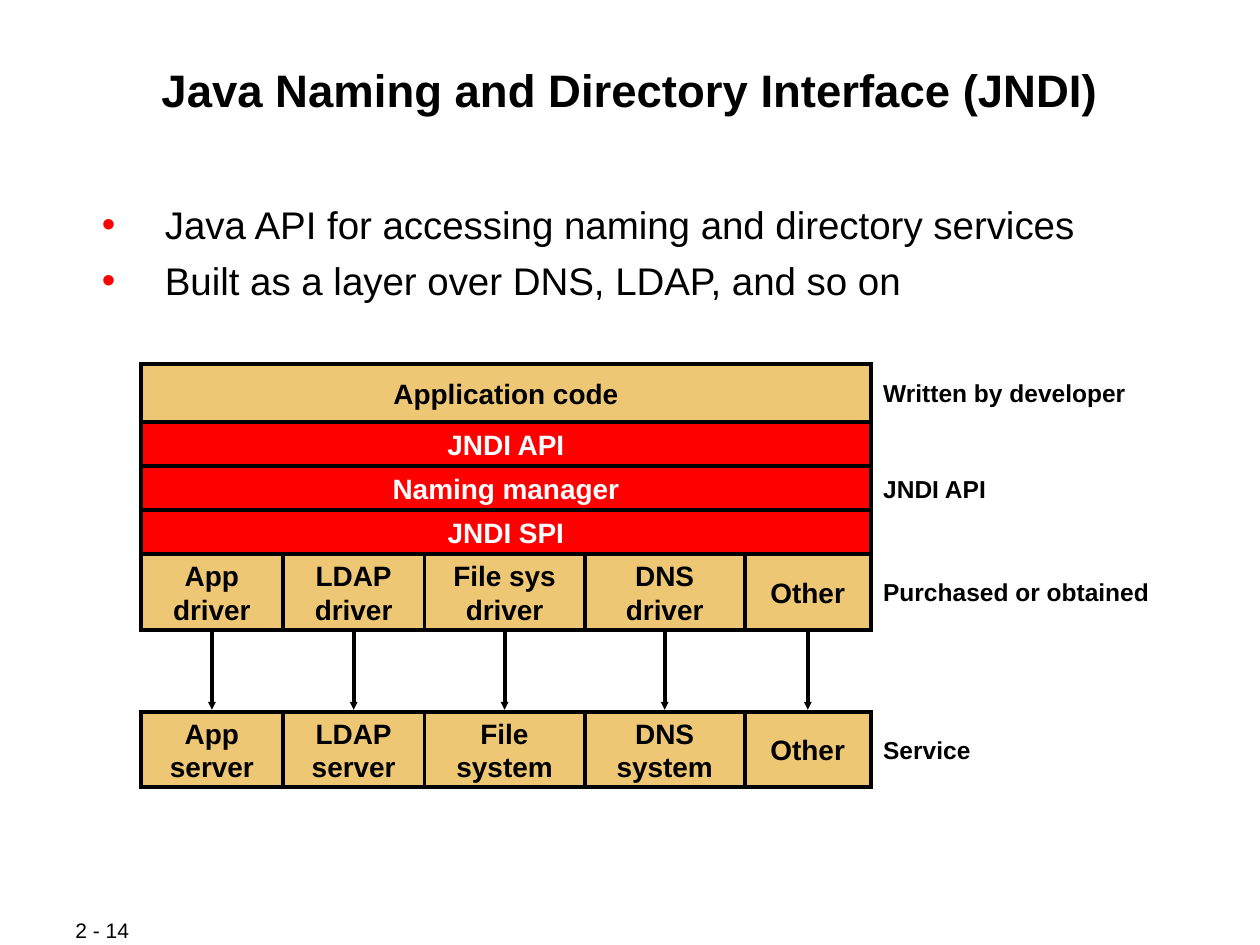
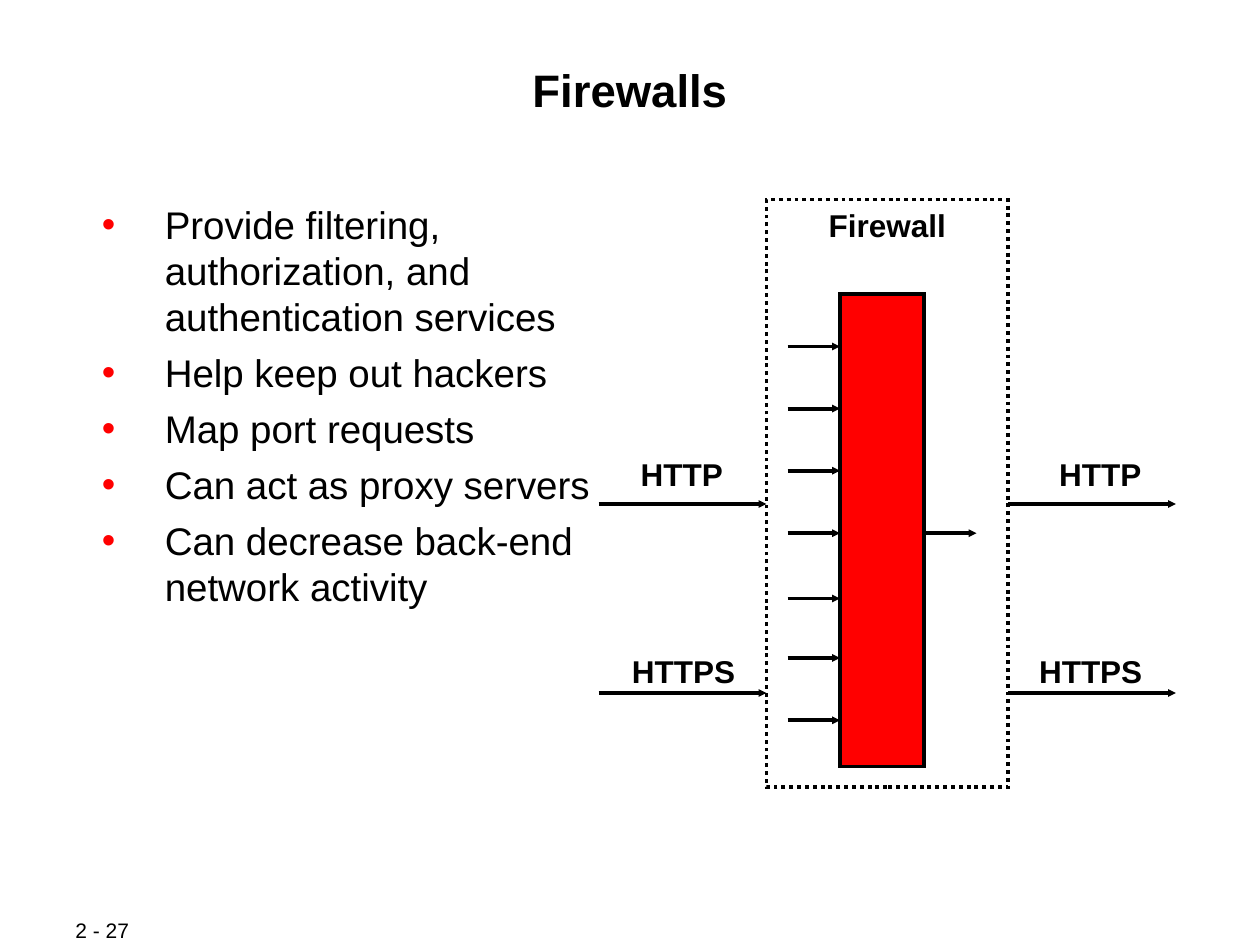
from itertools import accumulate
from lxml.etree import SubElement
from pptx import Presentation
from pptx.dml.color import RGBColor
from pptx.enum.dml import MSO_LINE
from pptx.enum.shapes import MSO_CONNECTOR, MSO_SHAPE
from pptx.enum.text import MSO_ANCHOR, PP_ALIGN
from pptx.oxml.ns import qn
from pptx.util import Pt

BLACK, WHITE, RED, SAND = "000000", "FFFFFF", "FF0000", "EDC774"
FONT = "Arial"
THICK, THIN = 2.24, 0.99
TITLE_BOX = (48, 34.5, 624, 69)
NUMBER_BOX = (36, 524, 76, 14.5)
SIDE, EDGE = 7.2, 3.6


def color(hex_value):
    return RGBColor.from_string(hex_value)


def set_text(sp, lines, size, hex_value=BLACK, bold=False, align=PP_ALIGN.LEFT,
             anchor=MSO_ANCHOR.TOP, before=0, margins=(SIDE, EDGE), wrap=True):
    tf = sp.text_frame
    tf.word_wrap = wrap
    tf.vertical_anchor = anchor
    tf.margin_left = tf.margin_right = Pt(margins[0])
    tf.margin_top = tf.margin_bottom = Pt(margins[1])
    for i, line in enumerate(lines):
        p = tf.paragraphs[0] if i == 0 else tf.add_paragraph()
        p.text = line
        p.alignment = align
        p.space_before = Pt(before)
        p.font.name = FONT
        p.font.size = Pt(size)
        p.font.bold = bold
        p.font.color.rgb = color(hex_value)


def add_text(slide, box, lines, size, **style):
    sp = slide.shapes.add_textbox(*map(Pt, box))
    set_text(sp, lines, size, **style)
    return sp


def set_line(sp, width):
    sp.line.color.rgb = color(BLACK)
    sp.line.width = Pt(width)
    ln = sp._element.spPr.find(qn("a:ln"))
    SubElement(ln, qn("a:miter"), lim="800000")
    return ln


def add_rect(slide, box, fill):
    sp = slide.shapes.add_shape(MSO_SHAPE.RECTANGLE, *map(Pt, box))
    sp.fill.solid()
    sp.fill.fore_color.rgb = color(fill)
    set_line(sp, THICK)
    sp.shadow.inherit = False
    return sp


def add_line(slide, x1, y1, x2, y2, width=THICK, arrow=False):
    sp = slide.shapes.add_connector(
        MSO_CONNECTOR.STRAIGHT, Pt(x1), Pt(y1), Pt(x2), Pt(y2))
    ln = set_line(sp, width)
    if arrow:
        SubElement(ln, qn("a:tailEnd"), type="triangle", w="sm", len="sm")
    SubElement(sp._element.spPr, qn("a:effectLst"))


def add_bullets(slide, box, lines):
    sp = add_text(slide, box, lines, 22, before=5.5, margins=(0.72, 0.72))
    for p in sp.text_frame.paragraphs:
        p_pr = p._p.get_or_add_pPr()
        p_pr.set("marL", str(Pt(45.3)))
        p_pr.set("indent", str(Pt(-36)))
        bullet = SubElement(p_pr, qn("a:buClr"))
        SubElement(bullet, qn("a:srgbClr"), val=RED)
        SubElement(p_pr, qn("a:buFont"), typeface=FONT)
        SubElement(p_pr, qn("a:buChar"), char="•")
        p_pr.append(p_pr.find(qn("a:defRPr")))


def add_slide(prs, title, number):
    slide = prs.slides.add_slide(prs.slide_layouts[5])
    sp = slide.shapes.title
    sp.left, sp.top, sp.width, sp.height = map(Pt, TITLE_BOX)
    set_text(sp, [title], 26, bold=True, align=PP_ALIGN.CENTER, before=6.5,
             margins=(0.72, 0.72))
    add_text(slide, NUMBER_BOX, [number], 12, anchor=MSO_ANCHOR.MIDDLE, wrap=False)
    return slide


def add_cell(slide, box, lines, fill=SAND, hex_value=BLACK, before=0):
    set_text(add_rect(slide, box, fill), lines, 16, hex_value=hex_value, bold=True,
             align=PP_ALIGN.CENTER, anchor=MSO_ANCHOR.MIDDLE, before=before,
             margins=(SIDE, 0))


def add_layer_diagram(slide, left, top):
    columns = [
        (81, ["App", "driver"], ["App", "server"]),
        (81, ["LDAP", "driver"], ["LDAP", "server"]),
        (91.5, ["File sys", "driver"], ["File", "system"]),
        (91.5, ["DNS", "driver"], ["DNS", "system"]),
        (72, ["Other"], ["Other"]),
    ]
    layers = ["JNDI API", "Naming manager", "JNDI SPI"]
    code_h, layer_h, box_h, gap = 33.4, 25.2, 43.2, 46.8
    edges = list(accumulate((column[0] for column in columns), initial=left))
    right = edges[-1]
    total = right - left
    layers_top = top + code_h
    layer_tops = [layers_top + i * layer_h for i in range(len(layers))]
    driver_top = layers_top + len(layers) * layer_h
    driver_end = driver_top + box_h
    server_top = driver_end + gap
    server_end = server_top + box_h

    add_cell(slide, (left, top, total, code_h), ["Application code"], before=4)
    for y, layer in zip(layer_tops, layers):
        add_cell(slide, (left, y, total, layer_h), [layer],
                 fill=RED, hex_value=WHITE, before=4)
    for x, (width, driver, server) in zip(edges, columns):
        add_cell(slide, (x, driver_top, width, box_h), driver)
        add_cell(slide, (x, server_top, width, box_h), server)

    for y in (top, driver_end, server_top):
        add_line(slide, left, y, right, y)
    for y in (*layer_tops, driver_top, server_end):
        add_line(slide, left, y, right, y, THIN)
    for x in (left, right):
        add_line(slide, x, top, x, driver_end)
    for x in edges[1:-1]:
        add_line(slide, x, driver_top, x, driver_end, THIN)
    for x in edges:
        add_line(slide, x, server_top, x, server_end, THIN)
    for x1, x2 in zip(edges, edges[1:]):
        middle = (x1 + x2) / 2
        add_line(slide, middle, driver_end + 1, middle, server_top - 1.2, arrow=True)

    labels = [
        ("Written by developer", top, code_h),
        ("JNDI API", layers_top, len(layers) * layer_h),
        ("Purchased or obtained", driver_top, box_h),
        ("Service", server_top, box_h),
    ]
    for label, y, height in labels:
        add_text(slide, (right, y, 180, height), [label], 14, bold=True,
                 anchor=MSO_ANCHOR.MIDDLE, before=3.5, margins=(SIDE, 0))


def add_firewall_diagram(slide, left, top, width, height):
    reach = 96
    frame_x, frame_w = left + reach, width - 2 * reach
    frame = add_rect(slide, (frame_x, top, frame_w, height), WHITE)
    frame.line.dash_style = MSO_LINE.ROUND_DOT
    set_text(frame, ["Firewall"], 18, bold=True, align=PP_ALIGN.CENTER, wrap=False)

    wall_x, wall_w, stub = frame_x + 42, 48, 30
    wall_end = wall_x + wall_w
    port_ys = [top + y for y in (84, 119.5, 155, 190.7, 228, 262, 297.6)]
    add_rect(slide, (wall_x, top + 54, wall_w, 270), RED)
    for y in port_ys:
        add_line(slide, wall_x - stub, y, wall_x, y, arrow=True)
    add_line(slide, wall_end, port_ys[3], wall_end + stub, port_ys[3], arrow=True)

    right = frame_x + frame_w
    protocols = [
        ("HTTP", 174, 142.5, left + 17, right + 22.2),
        ("HTTPS", 282, 255, left + 12, right + 10.7),
    ]
    for name, arrow_y, text_y, in_x, out_x in protocols:
        y = top + arrow_y
        for arrow_x, text_x in ((left, in_x), (right, out_x)):
            add_text(slide, (text_x, top + text_y, 74, 50), [name], 18,
                     bold=True, wrap=False)
            add_line(slide, arrow_x, y, arrow_x + reach, y, arrow=True)


def build_jndi(prs):
    slide = add_slide(prs, "Java Naming and Directory Interface (JNDI)", "2 - 14")
    add_bullets(slide, (48.2, 114.2, 624, 60.5), [
        "Java API for accessing naming and directory services",
        "Built as a layer over DNS, LDAP, and so on",
    ])
    add_layer_diagram(slide, 80.6, 207.8)


def build_firewalls(prs):
    slide = add_slide(prs, "Firewalls", "2 - 27")
    add_bullets(slide, (48.2, 114.2, 300, 235.5), [
        "Provide filtering, authorization, and authentication services",
        "Help keep out hackers",
        "Map port requests",
        "Can act as proxy servers",
        "Can decrease back-end network activity",
    ])
    add_firewall_diagram(slide, 342, 114, 330, 336)


prs = Presentation()
prs.slide_width, prs.slide_height = Pt(720), Pt(540)
build_jndi(prs)
build_firewalls(prs)
prs.save("out.pptx")
